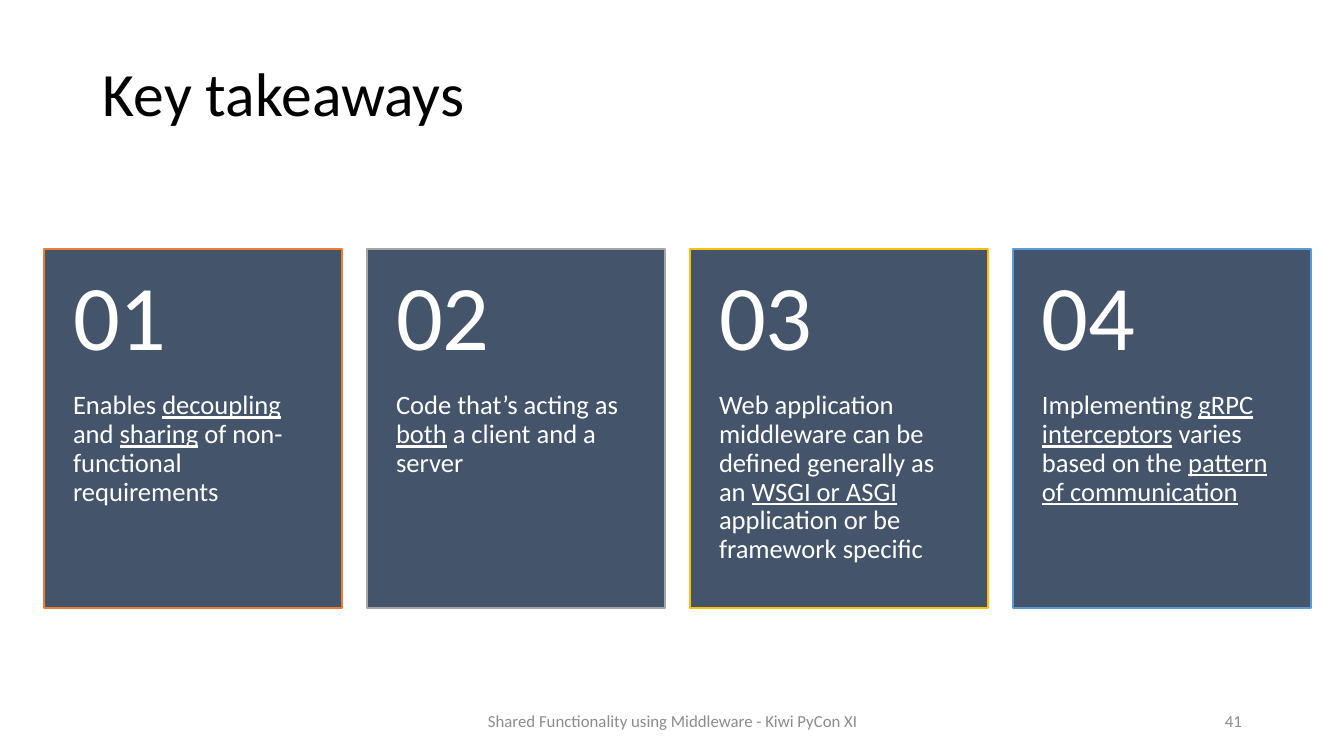
from dataclasses import dataclass

from pptx import Presentation
from pptx.dml.color import RGBColor
from pptx.enum.shapes import MSO_SHAPE
from pptx.enum.text import MSO_ANCHOR, MSO_AUTO_SIZE, PP_ALIGN
from pptx.util import Pt

RECT = MSO_SHAPE.RECTANGLE
TOP, MID = MSO_ANCHOR.TOP, MSO_ANCHOR.MIDDLE
LEFT, MID_X, RIGHT = PP_ALIGN.LEFT, PP_ALIGN.CENTER, PP_ALIGN.RIGHT
FIXED = MSO_AUTO_SIZE.NONE

TITLE = "Key takeaways"
CARDS = [
    ("ED7D31", [("Enables ", False), ("decoupling", True), (" and ", False),
                ("sharing", True), (" of non-functional requirements", False)]),
    ("A5A5A5", [("Code that’s acting as ", False), ("both", True),
                (" a client and a server", False)]),
    ("FFC000", [("Web application middleware can be defined generally as an ", False),
                ("WSGI or ASGI", True),
                (" application or be framework specific", False)]),
    ("5B9BD5", [("Implementing ", False), ("gRPC interceptors", True),
                (" varies based on the ", False),
                ("pattern of communication", True)]),
]
FOOTER = "Shared Functionality using Middleware - Kiwi PyCon XI"
PAGE = "41"


@dataclass(frozen=True)
class Theme:
    font: str = "Calibri"
    ink: str = "000000"
    card: str = "44546A"
    light: str = "FFFFFF"
    muted: str = "8C8C8C"
    title: int = 44
    number: int = 66
    body: int = 19
    small: int = 12


THEME = Theme()
SCALE = 914400 / 100.8
WIDE, HIGH = 1344, 756
CARD_X, CARD_Y, CARD_W, CARD_H = 44, 249, 298, 359
STEP = 323
HEAD_H = 143
FOOT_Y, FOOT_H = 701, 40


def px(count):
    return round(count * SCALE)


def color(code):
    return RGBColor.from_string(code)


def write(frame, runs, size, ink, anchor=MID, align=LEFT, pads=(10, 5, 10, 5), lead=0.9):
    frame.word_wrap = True
    frame.auto_size = FIXED
    frame.vertical_anchor = anchor
    frame.margin_left, frame.margin_top, frame.margin_right, frame.margin_bottom = map(px, pads)
    para = frame.paragraphs[0]
    para.alignment = align
    para.line_spacing = lead
    for text, under in runs:
        run = para.add_run()
        run.text = text
        font = run.font
        font.name = THEME.font
        font.size = Pt(size)
        font.color.rgb = color(ink)
        if under:
            font.underline = True


def label(slide, box, *args, **style):
    frame = slide.shapes.add_textbox(*map(px, box)).text_frame
    write(frame, *args, **style)


def add_card(slide, index, edge, runs):
    left = CARD_X + index * STEP
    panel = slide.shapes.add_shape(RECT, *map(px, (left, CARD_Y, CARD_W, CARD_H)))
    panel.shadow.inherit = False
    panel.fill.solid()
    panel.fill.fore_color.rgb = color(THEME.card)
    panel.line.color.rgb = color(edge)
    panel.line.width = Pt(1)
    label(slide, (left, CARD_Y + HEAD_H, CARD_W, CARD_H - HEAD_H), runs,
          THEME.body, THEME.light, anchor=TOP, pads=(29, 0, 29, 36))
    label(slide, (left, CARD_Y, CARD_W, HEAD_H), [(f"{index + 1:02}", False)],
          THEME.number, THEME.light, pads=(29, 18, 29, 18))


def main():
    deck = Presentation()
    deck.slide_width, deck.slide_height = px(WIDE), px(HIGH)
    slide = deck.slides.add_slide(deck.slide_layouts[5])
    title = slide.shapes.title
    title.left, title.top, title.width, title.height = map(px, (93, 37, 1158, 119))
    write(title.text_frame, [(TITLE, False)], THEME.title, THEME.ink)
    for index, (edge, runs) in enumerate(CARDS):
        add_card(slide, index, edge, runs)
    for text, left, width, align in ((FOOTER, 446, 454, MID_X), (PAGE, 950, 302, RIGHT)):
        label(slide, (left, FOOT_Y, width, FOOT_H), [(text, False)],
              THEME.small, THEME.muted, align=align, lead=1.0)
    deck.save("out.pptx")


if __name__ == "__main__":
    main()
